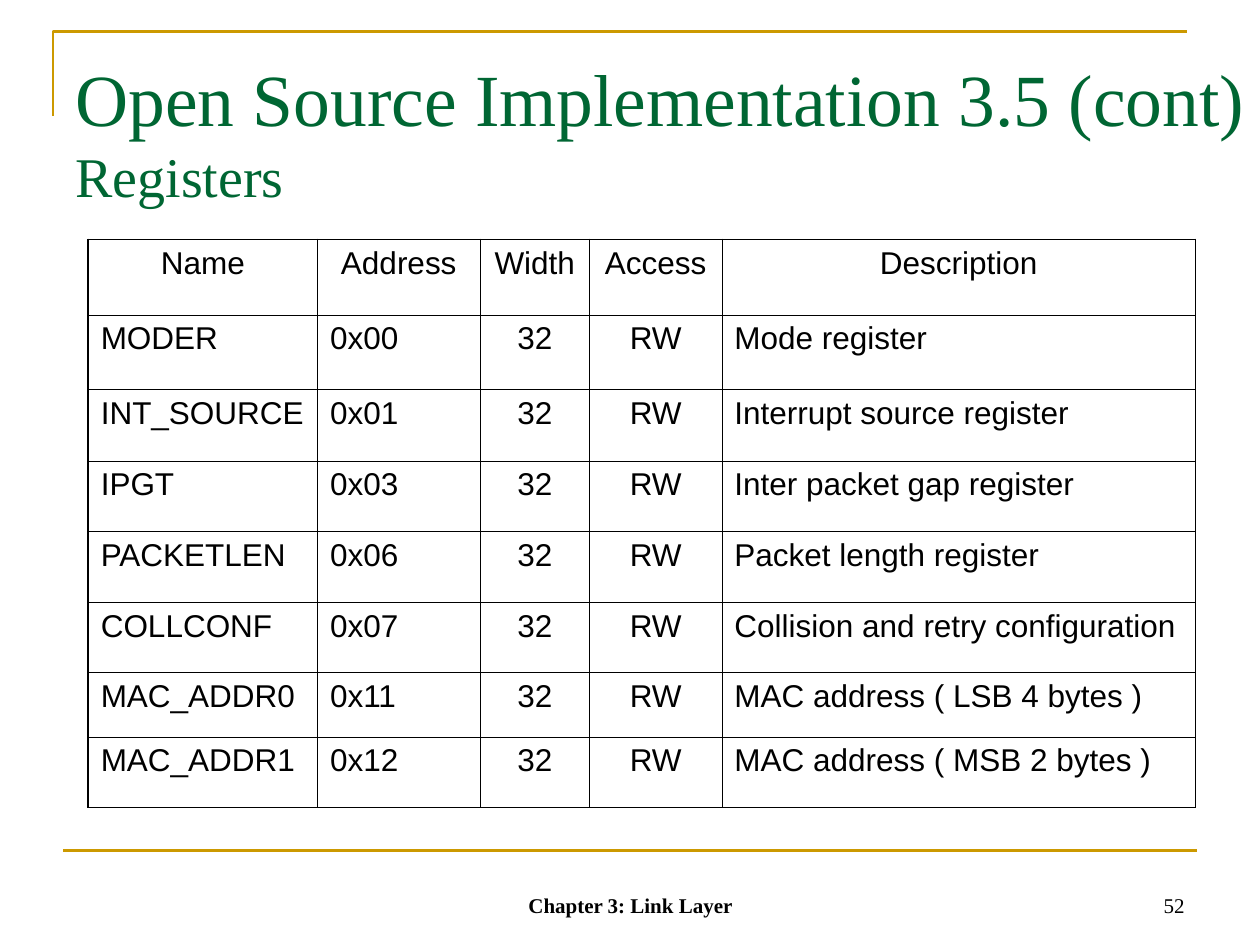
from lxml import etree
from pptx import Presentation
from pptx.dml.color import RGBColor
from pptx.enum.shapes import MSO_CONNECTOR
from pptx.enum.text import MSO_ANCHOR, PP_ALIGN
from pptx.oxml.ns import qn
from pptx.util import Pt

PX = 9144  # 100 px to the inch
LEFT, CENTER, RIGHT = PP_ALIGN.LEFT, PP_ALIGN.CENTER, PP_ALIGN.RIGHT
TOP, BOTTOM = MSO_ANCHOR.TOP, MSO_ANCHOR.BOTTOM
STRAIGHT = MSO_CONNECTOR.STRAIGHT

COLORS = {"rule": "CC9900", "title": "006633", "text": "000000"}
SERIF, SANS = "Times New Roman", "Arial"
RULE_PT, OUTER_PT, INNER_PT = 1.5, 1.08, 0.45

COL_WIDTHS = [182, 129, 87, 105, 376]
ROW_HEIGHTS = [60, 59, 57, 56, 56, 56, 51, 56]
COL_ALIGNS = [LEFT, LEFT, CENTER, CENTER, LEFT]
HEADER = ["Name", "Address", "Width", "Access", "Description"]
REGISTERS = [
    ("MODER", "0x00", "Mode register"),
    ("INT_SOURCE", "0x01", "Interrupt source register"),
    ("IPGT", "0x03", "Inter packet gap register"),
    ("PACKETLEN", "0x06", "Packet length register"),
    ("COLLCONF", "0x07", "Collision and retry configuration"),
    ("MAC_ADDR0", "0x11", "MAC address ( LSB 4 bytes )"),
    ("MAC_ADDR1", "0x12", "MAC address ( MSB 2 bytes )"),
]


def emu(*lengths):
    return [round(v * PX) for v in lengths]


def rgb(name):
    return RGBColor.from_string(COLORS[name])


def add_run(p, text, color="text", **font):
    r = p.add_run()
    r.text = text
    r.font.color.rgb = rgb(color)
    for key, value in font.items():
        setattr(r.font, key, value)


def set_margins(target, top=5):
    """Apply the common text insets to a text frame or a table cell."""
    margins = {"left": 10, "top": top, "right": 10, "bottom": 5}
    for side, value in margins.items():
        setattr(target, f"margin_{side}", value * PX)


def add_text(s, box, runs, align=LEFT, anchor=TOP, top=5):
    """Add a wrapped one-paragraph box; runs are (text, format) pairs."""
    tf = s.shapes.add_textbox(*emu(*box)).text_frame
    tf.word_wrap = True
    tf.vertical_anchor = anchor
    set_margins(tf, top)
    p = tf.paragraphs[0]
    p.alignment = align
    for text, font in runs:
        add_run(p, text, name=SERIF, **font)


def style_rule(shape):
    shape.line.color.rgb = rgb("rule")
    shape.line.width = Pt(RULE_PT)


def add_corner(s, x, y, w, h):
    """Draw the open frame along the left and top sides of the box."""
    builder = s.shapes.build_freeform(x, y + h, scale=PX)
    builder.add_line_segments([(x, y), (x + w, y)], close=False)
    corner = builder.convert_to_shape()
    corner.fill.background()
    corner.shadow.inherit = False
    style_rule(corner)


def add_bottom_rule(s, x, y, w):
    rule = s.shapes.add_connector(STRAIGHT, *emu(x, y, x + w, y))
    style_rule(rule)
    etree.SubElement(rule._element.spPr, qn("a:effectLst"))


def add_title(s, box):
    add_text(s, box, [
        ("Open Source Implementation 3.5 (cont) ",
         {"size": Pt(42), "color": "title"}),
        ("Registers", {"size": Pt(32), "color": "title"}),
    ], top=12)


def set_borders(cell, is_outer):
    """Draw all four sides, thicker where is_outer marks the table's edge."""
    tc_pr = cell._tc.get_or_add_tcPr()
    for side in "LRTB":
        width = Pt(OUTER_PT if is_outer[side] else INNER_PT)
        ln = etree.SubElement(tc_pr, qn(f"a:ln{side}"), w=str(width))
        fill = etree.SubElement(ln, qn("a:solidFill"))
        etree.SubElement(fill, qn("a:srgbClr"), val=COLORS["text"])


def add_register_table(s, x, y):
    rows = [HEADER] + [(name, address, "32", "RW", description)
                       for name, address, description in REGISTERS]
    last_row, last_col = len(rows) - 1, len(HEADER) - 1
    size = sum(COL_WIDTHS), sum(ROW_HEIGHTS)
    table = s.shapes.add_table(len(rows), len(HEADER),
                               *emu(x, y, *size)).table
    table.first_row = table.horz_banding = False
    for col, width in zip(table.columns, COL_WIDTHS):
        col.width = width * PX
    for row, height in zip(table.rows, ROW_HEIGHTS):
        row.height = height * PX
    for i, values in enumerate(rows):
        for j, text in enumerate(values):
            cell = table.cell(i, j)
            set_margins(cell)
            set_borders(cell, {"L": j == 0, "R": j == last_col,
                               "T": i == 0, "B": i == last_row})
            cell.fill.background()
            p = cell.text_frame.paragraphs[0]
            p.alignment = CENTER if i == 0 else COL_ALIGNS[j]
            add_run(p, text, name=SANS, size=Pt(18))


def add_footer(s, y, h):
    add_text(s, (342, y, 317, h),
             [("Chapter 3: Link Layer", {"size": Pt(12), "bold": True})],
             CENTER, BOTTOM)
    add_text(s, (717, y, 233, h), [("52", {"size": Pt(12)})], RIGHT, BOTTOM)


def main():
    prs = Presentation()
    prs.slide_width, prs.slide_height = emu(1000, 750)
    s = prs.slides.add_slide(prs.slide_layouts[6])
    add_corner(s, 42, 25, 900, 67)
    add_bottom_rule(s, 50, 675, 900)
    add_title(s, (50, 30, 950, 125))
    add_register_table(s, 70, 190)
    add_footer(s, 683, 50)
    prs.save("out.pptx")


if __name__ == "__main__":
    main()
